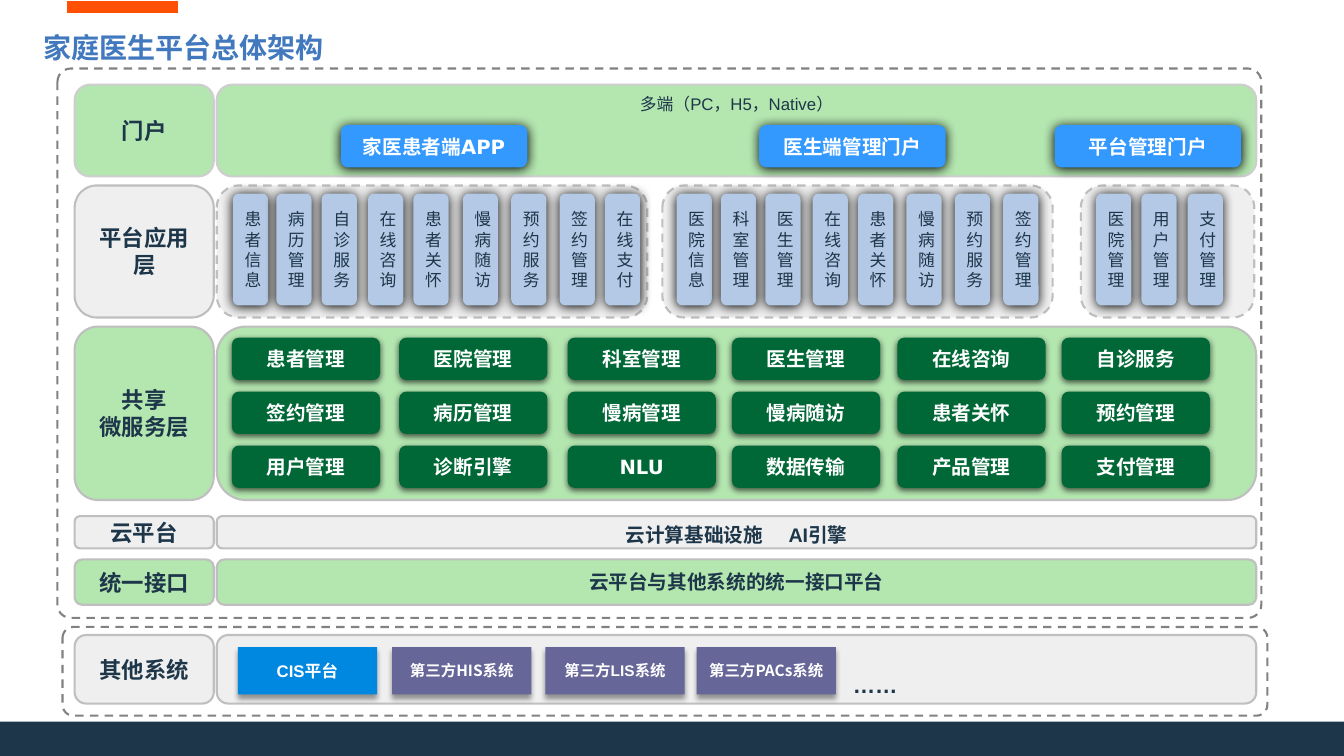
import pptx
import pptx.dml.color
import pptx.enum.dml
import pptx.enum.shapes
import pptx.enum.text
import pptx.oxml
import pptx.oxml.ns
import pptx.util

HUES = {
    "white": "FFFFFF", "navy": "1D3649", "title": "4178BE", "orange": "FF5004",
    "mint": "B4E6B0", "grey": "EFEFEF", "edge": "BFBFBF", "pale": "CECECE",
    "frame": "828282", "blue": "3399FF", "sky": "B3C9E5", "green": "006837",
    "azure": "0087E0", "violet": "666699",
}
ARIAL, DEJAVU, NOTO = "Arial", "DejaVu Sans", "Noto Sans CJK SC"
SHAPE = pptx.enum.shapes.MSO_SHAPE
ANCHOR = pptx.enum.text.MSO_ANCHOR
ALIGN = pptx.enum.text.PP_ALIGN
# Shadows: opacity in percent, blur and distance in points
GLOW, SOFT, DROP = (100, 8.5, 1), (63, 4.5, 1.5), (40, 4, 3)


class Board:
    """Draws on a grid whose columns and rows are a tenth of an inch."""

    cell = pptx.util.Inches(0.1)

    def __init__(self, deck):
        self.slide = deck.slides.add_slide(deck.slide_layouts[6])
        self.shapes = self.slide.shapes

    def grid(self, *counts):
        return [round(count * self.cell) for count in counts]

    def hue(self, name):
        return pptx.dml.color.RGBColor.from_string(HUES[name])

    def letter(self, shape, lines, size, font, hue, bold=True,
               anchor=ANCHOR.MIDDLE, align=ALIGN.CENTER):
        """Each line is a list of runs: (text, font or None, spacing in points)."""
        frame = shape.text_frame
        frame.word_wrap = True
        frame.vertical_anchor = anchor
        for i, runs in enumerate(lines):
            para = frame.add_paragraph() if i else frame.paragraphs[0]
            para.alignment = align
            for text, face, gap in runs:
                run = para.add_run()
                run.text = text
                run.font.size = pptx.util.Pt(size)
                run.font.name = face or font
                run.font.bold = bold
                run.font.color.rgb = self.hue(hue)
                props = run.font._element
                if text != "……":
                    east = pptx.oxml.parse_xml(
                        f'<a:ea {pptx.oxml.ns.nsdecls("a")} typeface="{NOTO}"/>')
                    props.find(pptx.oxml.ns.qn("a:latin")).addnext(east)
                if gap:
                    props.set("spc", str(gap * 100))
        return frame

    def box(self, place, fill=None, edge=None, dash=False, kind=SHAPE.ROUNDED_RECTANGLE,
            bend=None, shade=None):
        shape = self.shapes.add_shape(kind, *self.grid(*place))
        shape.shadow.inherit = False
        if bend is not None:
            shape.adjustments[0] = bend
        if fill:
            shape.fill.solid()
            shape.fill.fore_color.rgb = self.hue(fill)
        else:
            shape.fill.background()
        if edge:
            shape.line.color.rgb = self.hue(edge)
            shape.line.width = pptx.util.Pt(1.5)
            if dash:
                shape.line.dash_style = pptx.enum.dml.MSO_LINE.DASH
        else:
            shape.line.fill.background()
        if shade:
            self.shade(shape, *shade)
        return shape

    def shade(self, shape, alpha, blur, drop):
        effects = shape._element.spPr.find(pptx.oxml.ns.qn("a:effectLst"))
        effects.append(pptx.oxml.parse_xml(
            f'<a:outerShdw {pptx.oxml.ns.nsdecls("a")} blurRad="{pptx.util.Pt(blur)}" '
            f'dist="{pptx.util.Pt(drop)}" dir="5400000" algn="ctr" rotWithShape="0">'
            f'<a:srgbClr val="000000"><a:alpha val="{alpha * 1000}"/></a:srgbClr>'
            '</a:outerShdw>'))

    def card(self, place, text, fill, shade, size=14, hue="white", bold=True):
        shape = self.box(place, fill, shade=shade)
        self.letter(shape, [[(text, None, 0)]], size, DEJAVU, hue, bold)

    def tile(self, place, runs, fill, size):
        shape = self.box(place, fill, kind=SHAPE.RECTANGLE, shade=DROP)
        self.letter(shape, [runs], size, NOTO, "white")

    def label(self, place, text, size, hue, align):
        shape = self.shapes.add_textbox(*self.grid(*place))
        frame = self.letter(shape, [[(text, None, 0)]], size, ARIAL, hue, align=align)
        frame.margin_left = frame.margin_right = 0
        frame.margin_top = frame.margin_bottom = 0
        return frame

    def stripe(self, left, right, row, hue, width):
        ends = self.grid(left, row, right, row)
        line = self.shapes.add_connector(pptx.enum.shapes.MSO_CONNECTOR.STRAIGHT, *ends)
        line.line.color.rgb = self.hue(hue)
        line.line.width = pptx.util.Pt(width)
        line._element.spPr.append(pptx.oxml.parse_xml(
            f'<a:effectLst {pptx.oxml.ns.nsdecls("a")}/>'))


# top, height, fill, edge, heading lines, heading font, has a wide band
LAYERS = [
    (8.4, 9.1, "mint", "pale", ["门户"], DEJAVU, True),
    (18.4, 13.1, "grey", "edge", ["平台应用层"], ARIAL, False),
    (32.4, 17.2, "mint", "edge", ["共享", "微服务层"], ARIAL, True),
    (51.2, 3.2, "grey", "edge", ["云平台"], DEJAVU, True),
    (55.5, 4.5, "mint", "edge", ["统一接口"], DEJAVU, True),
    (63, 6.8, "grey", "edge", ["其他系统"], DEJAVU, True),
]
PORTALS = [(33.8, "家医患者端APP"), (75.3, "医生端管理门户"), (104.6, "平台管理门户")]
# left, width, then the left of each app and its name
GROUPS = [
    (21.5, 42.7, [23.1, 27.4, 31.9, 36.5, 41, 45.9, 50.7, 55.5, 60],
     "患者信息 病历管理 自诊服务 在线咨询 患者关怀 慢病随访 预约服务 签约管理 在线支付"),
    (65.7, 38.7, [67.1, 71.5, 75.9, 80.6, 85.1, 89.9, 94.7, 99.5],
     "医院信息 科室管理 医生管理 在线咨询 患者关怀 慢病随访 预约服务 签约管理"),
    (107.2, 17.2, [108.7, 113.2, 117.8], "医院管理 用户管理 支付管理"),
]
COLUMNS = [23, 39.6, 56.3, 72.6, 89, 105.3]
SERVICES = [
    "患者管理 医院管理 科室管理 医生管理 在线咨询 自诊服务",
    "签约管理 病历管理 慢病管理 慢病随访 患者关怀 预约管理",
    "用户管理 诊断引擎 NLU 数据传输 产品管理 支付管理",
]
SYSTEMS = [
    (23.6, [("CIS", ARIAL, 0), ("平台", "Calibri", 0)], "azure", 12),
    (38.9, [("第三方HIS系统", NOTO, 0)], "violet", 11),
    (54.1, [("第三方LIS系统", ARIAL, 0)], "violet", 11),
    (69.1, [("第三方PACs系统", NOTO, 0)], "violet", 11),
]


def main():
    deck = pptx.Presentation()
    deck.slide_width = pptx.util.Inches(13.33)
    deck.slide_height = pptx.util.Inches(7.5)
    board = Board(deck)

    board.stripe(6.6, 17.7, 0.7, "orange", 8)
    board.box((0, 71.6, 133.3, 3.4), "navy", kind=SHAPE.RECTANGLE)
    title = board.label((4.3, 2.2, 111.1, 4.5), "家庭医生平台总体架构", 20, "title", ALIGN.LEFT)
    title.paragraphs[0].line_spacing = pptx.util.Pt(27.6)
    board.box((5.7, 6.8, 119.4, 54.5), edge="frame", dash=True, bend=0.024)
    board.box((6.2, 62.2, 119.5, 8.8), edge="frame", dash=True, bend=0.122)

    bands = {}
    for top, high, fill, edge, lines, font, wide in LAYERS:
        head = board.box((7.4, top, 13.8, high), fill, edge)
        board.letter(head, [[(line, None, 0)] for line in lines], 16, font, "navy")
        if wide:
            bands[lines[0]] = board.box((21.5, top, 103.1, high), fill, edge)

    board.letter(bands["门户"], [[("多端（PC，H5，Native）", None, 0)]], 12, ARIAL, "navy",
                 bold=False, anchor=ANCHOR.TOP)
    cloud = [("云计算基础设施", None, 0), (" ", None, 15), ("AI引擎", ARIAL, 0)]
    board.letter(bands["云平台"], [cloud], 14, DEJAVU, "navy", anchor=ANCHOR.TOP)
    board.letter(bands["统一接口"], [[("云平台与其他系统的统一接口平台", None, 0)]],
                 14, DEJAVU, "navy")

    for left, name in PORTALS:
        board.card((left, 12.4, 18.5, 4.2), name, "blue", GLOW)
    for left, wide, spots, names in GROUPS:
        board.box((left, 18.4, wide, 13.1), "grey", "edge", dash=True)
        for spot, name in zip(spots, names.split()):
            board.card((spot, 19.2, 3.5, 11.1), name, "sky", GLOW, 12, "navy", False)
    for row, names in enumerate(SERVICES):
        for left, name in zip(COLUMNS, names.split()):
            board.card((left, 33.5 + 5.35 * row, 14.7, 4.2), name, "green", SOFT)
    for left, runs, fill, size in SYSTEMS:
        board.tile((left, 64.2, 13.8, 4.7), runs, fill, size)
    board.label((81.5, 66.6, 10.6, 2.7), "……", 16, "navy", ALIGN.CENTER)

    deck.save("out.pptx")


if __name__ == "__main__":
    main()
